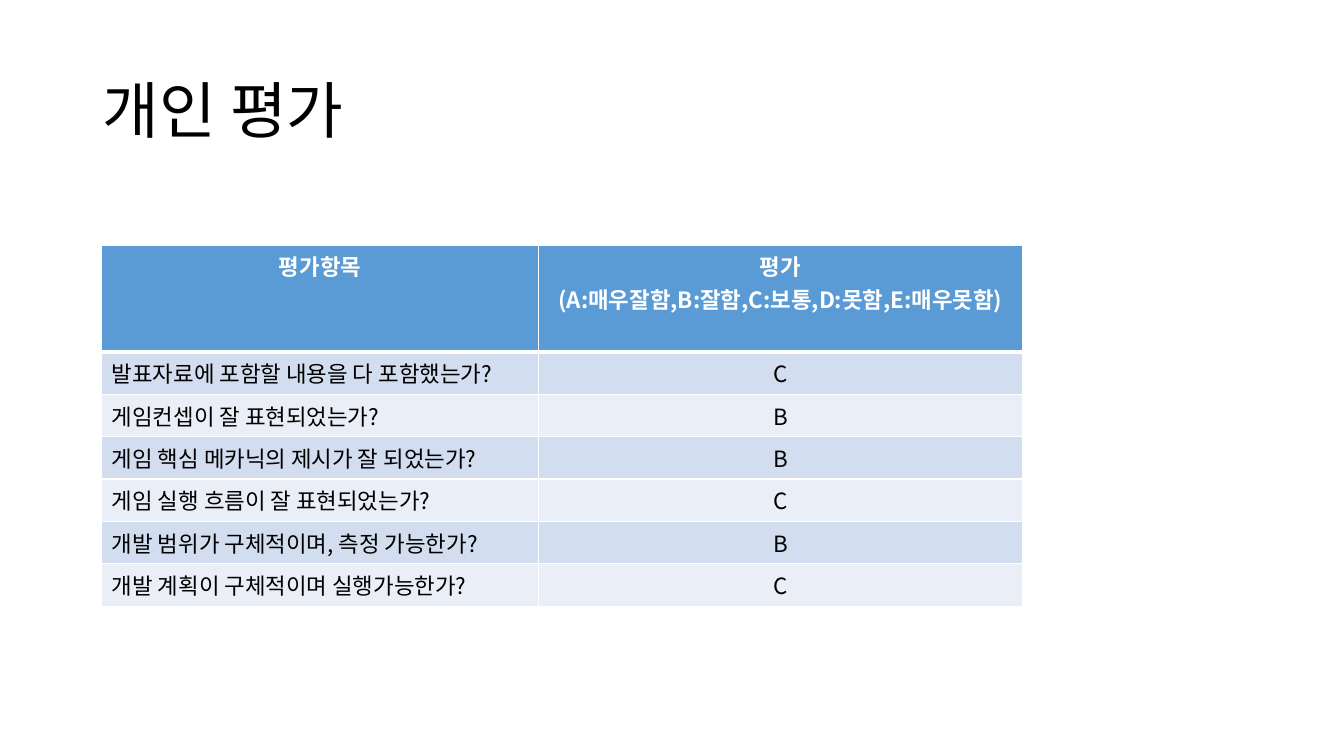
from pptx import Presentation
from pptx.dml.color import RGBColor
from pptx.enum.text import MSO_ANCHOR, MSO_AUTO_SIZE, PP_ALIGN
from pptx.oxml.ns import qn
from pptx.util import Inches, Pt
from lxml import etree

LEFT, CENTER = PP_ALIGN.LEFT, PP_ALIGN.CENTER
MIDDLE = MSO_ANCHOR.MIDDLE
NO_FIT = MSO_AUTO_SIZE.NONE

TITLE = "개인 평가"
HEAD = ("평가항목", "평가\n(A:매우잘함,B:잘함,C:보통,D:못함,E:매우못함)")
ITEMS = [
    ("발표자료에 포함할 내용을 다 포함했는가?", "C"),
    ("게임컨셉이 잘 표현되었는가?", "B"),
    ("게임 핵심 메카닉의 제시가 잘 되었는가?", "B"),
    ("게임 실행 흐름이 잘 표현되었는가?", "C"),
    ("개발 범위가 구체적이며, 측정 가능한가?", "B"),
    ("개발 계획이 구체적이며 실행가능한가?", "C"),
]
FONT = "Noto Sans CJK KR"
COLORS = {"head": "5B9BD5", "odd": "D2DEEF", "even": "EAEFF7",
          "white": "FFFFFF", "black": "000000"}
STYLES = {
    "title": {"size": Pt(44), "bold": False, "name": FONT},
    "head": {"size": Pt(16), "bold": True, "name": FONT},
    "body": {"size": Pt(16), "bold": False, "name": FONT},
}
WIDTHS = (4.33, 4.8)
ROW_H = 0.41


def color(name):
    return RGBColor.from_string(COLORS[name])


def write(frame, text, style, ink, align):
    frame.text = text
    for para in frame.paragraphs:
        para.alignment = align
        for run in para.runs:
            for key, value in STYLES[style].items():
                setattr(run.font, key, value)
            run.font.color.rgb = color(ink)
            props = run.font._element
            etree.SubElement(props, qn("a:ea"), typeface=FONT)


def border(cell, bottom):
    props = cell._tc.get_or_add_tcPr()
    sides = {"L": 1, "R": 1, "T": 1, "B": bottom}
    for spot, (side, width) in enumerate(sides.items()):
        line = etree.Element(qn(f"a:ln{side}"), w=str(Pt(width)))
        fill = etree.SubElement(line, qn("a:solidFill"))
        etree.SubElement(fill, qn("a:srgbClr"), val=COLORS["white"])
        props.insert(spot, line)


def add_title(slide):
    title = slide.shapes.title
    title.left, title.top = Inches(0.92), Inches(0.4)
    title.width, title.height = Inches(11.5), Inches(1.45)
    frame = title.text_frame
    write(frame, TITLE, "title", "black", LEFT)
    frame.auto_size = NO_FIT
    frame.vertical_anchor = MIDDLE
    frame.paragraphs[0].line_spacing = 0.9


def add_grid(slide):
    rows = [HEAD] + ITEMS
    grid = slide.shapes.add_table(
        len(rows), len(WIDTHS), Inches(1.01), Inches(2.43),
        Inches(sum(WIDTHS)), Inches(ROW_H * len(rows))).table
    for col, width in zip(grid.columns, WIDTHS):
        col.width = Inches(width)
    for r, row in enumerate(rows):
        grid.rows[r].height = Inches(ROW_H)
        top = r == 0
        band = "head" if top else "odd" if r % 2 else "even"
        for c, text in enumerate(row):
            cell = grid.cell(r, c)
            cell.fill.solid()
            cell.fill.fore_color.rgb = color(band)
            write(cell.text_frame, text, "head" if top else "body",
                  "white" if top else "black",
                  CENTER if top or c else LEFT)
            border(cell, 3 if top else 1)
            if r == 1:
                cell._tc.tcPr.find(qn("a:lnT")).set("w", str(Pt(3)))


def main():
    deck = Presentation()
    deck.slide_width, deck.slide_height = Inches(13.33), Inches(7.5)
    slide = deck.slides.add_slide(deck.slide_layouts[5])
    add_title(slide)
    add_grid(slide)
    deck.save("out.pptx")


if __name__ == "__main__":
    main()
